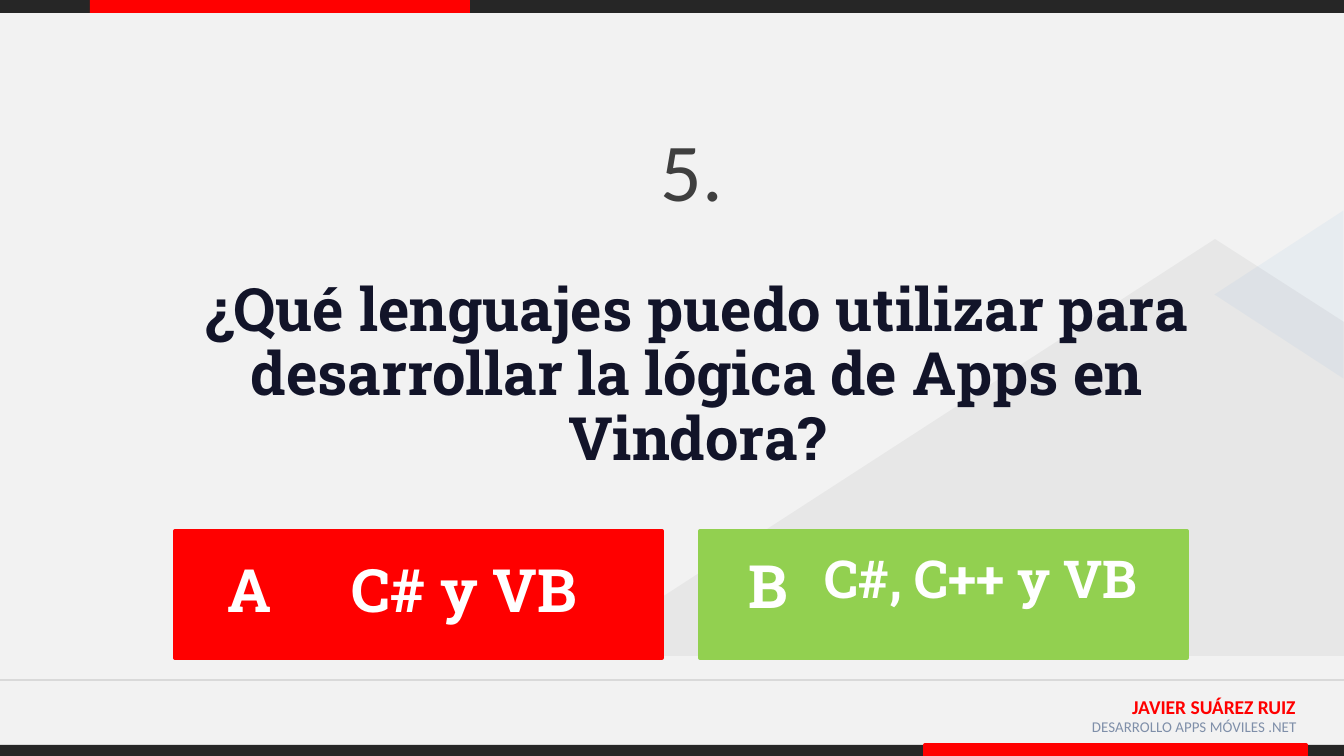
from lxml.etree import SubElement as Sub
from pptx import Presentation
from pptx.dml.color import RGBColor as RGB
from pptx.enum.shapes import MSO_CONNECTOR as LINK, MSO_SHAPE as SHAPE
from pptx.enum.text import MSO_ANCHOR as ANCHOR, PP_ALIGN as ALIGN
from pptx.oxml.ns import qn
from pptx.util import Emu, Pt

SCALE = 914400 / 134.4
WIDE, HIGH = 1344, 756
SANS, SLAB = "Calibri", "Roboto Slab"
DARK, RED, GREEN, BLUE = "262626", "FF0000", "92D050", "297FD5"
WHITE, NAVY, GREY, SLATE = "FFFFFF", "121429", "3F3F3F", "7F8FA9"


def px(n):
    return Emu(round(n * SCALE))


def box(*nums):
    return [px(n) for n in nums]


def paint(fill, color, alpha=None):
    fill.solid()
    fill.fore_color.rgb = RGB.from_string(color)
    if alpha:
        tint = fill._xPr.find(qn("a:solidFill"))[0]
        Sub(tint, qn("a:alpha")).set("val", str(alpha * 1000))


def style(shape, color, alpha=None, edge=False):
    shape.shadow.inherit = False
    paint(shape.fill, color, alpha)
    if edge:
        paint(shape.line.fill, color)
        shape.line.width = Pt(2)
    else:
        shape.line.fill.background()


def rect(slide, place, color, edge=False):
    shape = slide.shapes.add_shape(SHAPE.RECTANGLE, *box(*place))
    style(shape, color, edge=edge)


def write(frame, text, size, color, font, bold=False, align=ALIGN.CENTER, space=None):
    frame.word_wrap = True
    para = frame.paragraphs[0]
    para.alignment = align
    para.line_spacing = space
    run = para.add_run()
    run.text = text
    run.font.name = font
    run.font.size = Pt(size)
    run.font.bold = bold
    run.font.color.rgb = RGB.from_string(color)


def label(slide, place, *args, **opts):
    write(slide.shapes.add_textbox(*box(*place)).text_frame, *args, **opts)


def title(slide, place, *args):
    shape = slide.shapes.title
    shape.left, shape.top, shape.width, shape.height = box(*place)
    shape.text_frame.vertical_anchor = ANCHOR.MIDDLE
    write(shape.text_frame, *args)


def rule(slide, y):
    line = slide.shapes.add_connector(LINK.STRAIGHT, *box(0, y, WIDE, y))
    paint(line.line.fill, "D9D9D9")
    line.line.width = Pt(0.75)
    Sub(line._element.spPr, qn("a:effectLst"))


def peaks(slide):
    pen = slide.shapes.build_freeform(WIDE, 656, SCALE)
    pen.add_line_segments([(WIDE, 322), (1215, 239), (571, 656)], close=True)
    style(pen.convert_to_shape(), DARK, 5)
    side = slide.shapes.add_shape(SHAPE.ISOSCELES_TRIANGLE, *box(1195, 230, 168, 129))
    side.rotation = 270
    style(side, BLUE, 5)


def frame(slide):
    rect(slide, (0, 0, WIDE, 13), DARK)
    rect(slide, (90, 0, 380, 13), RED)
    label(slide, (1066, 688, 243, 42), "JAVIER SUÁREZ RUIZ", 10.5, RED, SANS,
          bold=True, align=ALIGN.RIGHT)
    label(slide, (1037, 711, 273, 42), "DESARROLLO APPS MÓVILES .NET", 8, SLATE, SANS,
          align=ALIGN.RIGHT)
    rect(slide, (0, 745, WIDE, 11), DARK)
    rect(slide, (925, 745, 381, 11), RED, edge=True)
    rule(slide, 680)


def main():
    deck = Presentation()
    deck.slide_width, deck.slide_height = box(WIDE, HIGH)
    slide = deck.slides.add_slide(deck.slide_layouts[5])
    paint(slide.background.fill, "F2F2F2")
    frame(slide)
    peaks(slide)
    title(slide, (87, 106, 1210, 126), "5.", 44, GREY, SANS)
    rect(slide, (175, 531, 487, 127), RED, edge=True)
    rect(slide, (700, 531, 487, 127), GREEN, edge=True)
    for place, text, size, color in (
        ((121, 273, 1153, 231),
         "¿Qué lenguajes puedo utilizar para desarrollar la lógica de Apps en Vindora?",
         32, NAVY),
        ((196, 554, 108, 86), "A", 32, WHITE),
        ((714, 550, 108, 86), "B", 32, WHITE),
        ((289, 554, 351, 86), "C# y VB", 32, WHITE),
        ((793, 547, 376, 77), "C#, C++ y VB", 28, WHITE),
    ):
        label(slide, place, text, size, color, SLAB, bold=True, space=0.9)
    deck.save("out.pptx")


if __name__ == "__main__":
    main()
